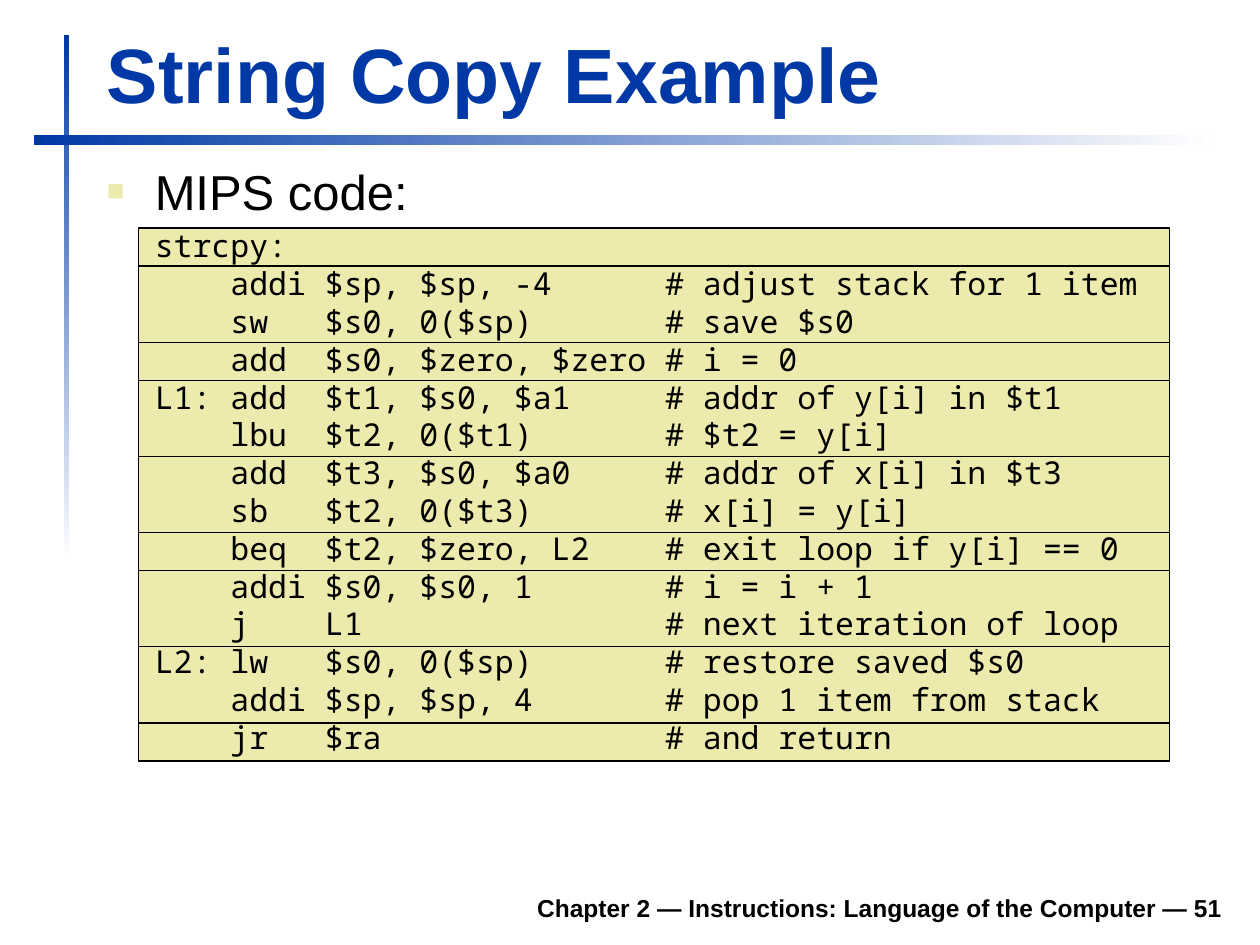
from dataclasses import dataclass

from lxml.etree import SubElement
from pptx import Presentation
from pptx.dml.color import RGBColor
from pptx.enum.shapes import MSO_SHAPE
from pptx.enum.text import MSO_ANCHOR, PP_ALIGN
from pptx.oxml.ns import qn
from pptx.util import Inches, Pt

COLUMNS, ROWS = 100, 75
BLUE, CREAM, BLACK, WHITE = "0039A6", "ECEAAC", "000000", "FFFFFF"

# One entry per band behind the listing
CODE_BLOCKS = [
    ["strcpy:"],
    ["    addi $sp, $sp, -4      # adjust stack for 1 item",
     "    sw   $s0, 0($sp)       # save $s0"],
    ["    add  $s0, $zero, $zero # i = 0"],
    ["L1: add  $t1, $s0, $a1     # addr of y[i] in $t1",
     "    lbu  $t2, 0($t1)       # $t2 = y[i]"],
    ["    add  $t3, $s0, $a0     # addr of x[i] in $t3",
     "    sb   $t2, 0($t3)       # x[i] = y[i]"],
    ["    beq  $t2, $zero, L2    # exit loop if y[i] == 0"],
    ["    addi $s0, $s0, 1       # i = i + 1",
     "    j    L1                # next iteration of loop"],
    ["L2: lw   $s0, 0($sp)       # restore saved $s0",
     "    addi $sp, $sp, 4       # pop 1 item from stack"],
    ["    jr   $ra               # and return"],
]

deck = Presentation()
deck.slide_width, deck.slide_height = Inches(10), Inches(7.5)
page = deck.slides.add_slide(deck.slide_layouts[6])


@dataclass
class Area:
    """A rectangle in grid columns and rows."""
    column: float
    row: float
    width: float
    height: float

    def lengths(self) -> list[int]:
        column, row = deck.slide_width / COLUMNS, deck.slide_height / ROWS
        return [round(self.column * column), round(self.row * row),
                round(self.width * column), round(self.height * row)]


@dataclass
class Style:
    size: float
    color: str = BLACK
    font: str = "Arial"
    bold: bool = False


def rgb(color: str) -> RGBColor:
    return RGBColor.from_string(color)


def add_rectangle(area: Area):
    shape = page.shapes.add_shape(MSO_SHAPE.RECTANGLE, *area.lengths())
    shape.shadow.inherit = False
    return shape


def add_fading_bar(area: Area, angle: int) -> None:
    bar = add_rectangle(area)
    bar.line.fill.background()
    bar.fill.gradient()
    bar.fill.gradient_angle = angle
    for stop, color in zip(bar.fill.gradient_stops, (BLUE, WHITE)):
        stop.color.rgb = rgb(color)


def add_band(area: Area) -> None:
    band = add_rectangle(area)
    band.fill.solid()
    band.fill.fore_color.rgb = rgb(CREAM)
    band.line.color.rgb = rgb(BLACK)
    band.line.width = Pt(0.75)


def add_text_frame(area: Area, anchor: MSO_ANCHOR):
    frame = page.shapes.add_textbox(*area.lengths()).text_frame
    frame.word_wrap = True
    frame.vertical_anchor = anchor
    return frame


def write(paragraph, text: str, style: Style) -> None:
    paragraph.text = text
    for span in paragraph.runs:
        span.font.size = Pt(style.size)
        span.font.name = style.font
        span.font.bold = style.bold
        span.font.color.rgb = rgb(style.color)


def indent(paragraph, left: float, first: float):
    properties = paragraph._p.get_or_add_pPr()
    properties.set("marL", str(Inches(left)))
    properties.set("indent", str(Inches(first)))
    return properties


def add_bullet(paragraph) -> None:
    properties = indent(paragraph, 0.38, -0.38)
    color = SubElement(properties, qn("a:buClr"))
    SubElement(color, qn("a:srgbClr"), val=CREAM)
    SubElement(properties, qn("a:buSzPct"), val="60000")
    SubElement(properties, qn("a:buFont"), typeface="Arial")
    SubElement(properties, qn("a:buChar"), char="■")


add_fading_bar(Area(5.1, 2.8, 0.4, 41.7), 270)
add_fading_bar(Area(2.7, 10.7, 93.7, 0.8), 0)

footer = add_text_frame(Area(18.5, 69.8, 79.5, 3.9), MSO_ANCHOR.BOTTOM).paragraphs[0]
footer.alignment = PP_ALIGN.RIGHT
write(footer, "Chapter 2 — Instructions: Language of the Computer — 51",
      Style(14, bold=True))

listing = Area(11, 18.1, 81.8, 42.3)
line_height = listing.height / sum(map(len, CODE_BLOCKS))
top = listing.row
for block in CODE_BLOCKS:
    height = line_height * len(block)
    add_band(Area(listing.column, top, listing.width, height))
    top += height

title = add_text_frame(Area(7.5, 1.6, 90.3, 8.3), MSO_ANCHOR.BOTTOM).paragraphs[0]
write(title, "String Copy Example", Style(44, BLUE, bold=True))

body = add_text_frame(Area(7.5, 12.3, 90.5, 55.9), MSO_ANCHOR.TOP)
heading = body.paragraphs[0]
write(heading, "MIPS code:", Style(28))
heading.space_before = Pt(5.6)
add_bullet(heading)

code = body.add_paragraph()
write(code, "\v".join(line for block in CODE_BLOCKS for line in block),
      Style(18, font="Noto Sans Mono"))
code.space_before = Pt(3.6)
code.line_spacing = Pt(21.6)
indent(code, 0.38, 0)

deck.save("out.pptx")
